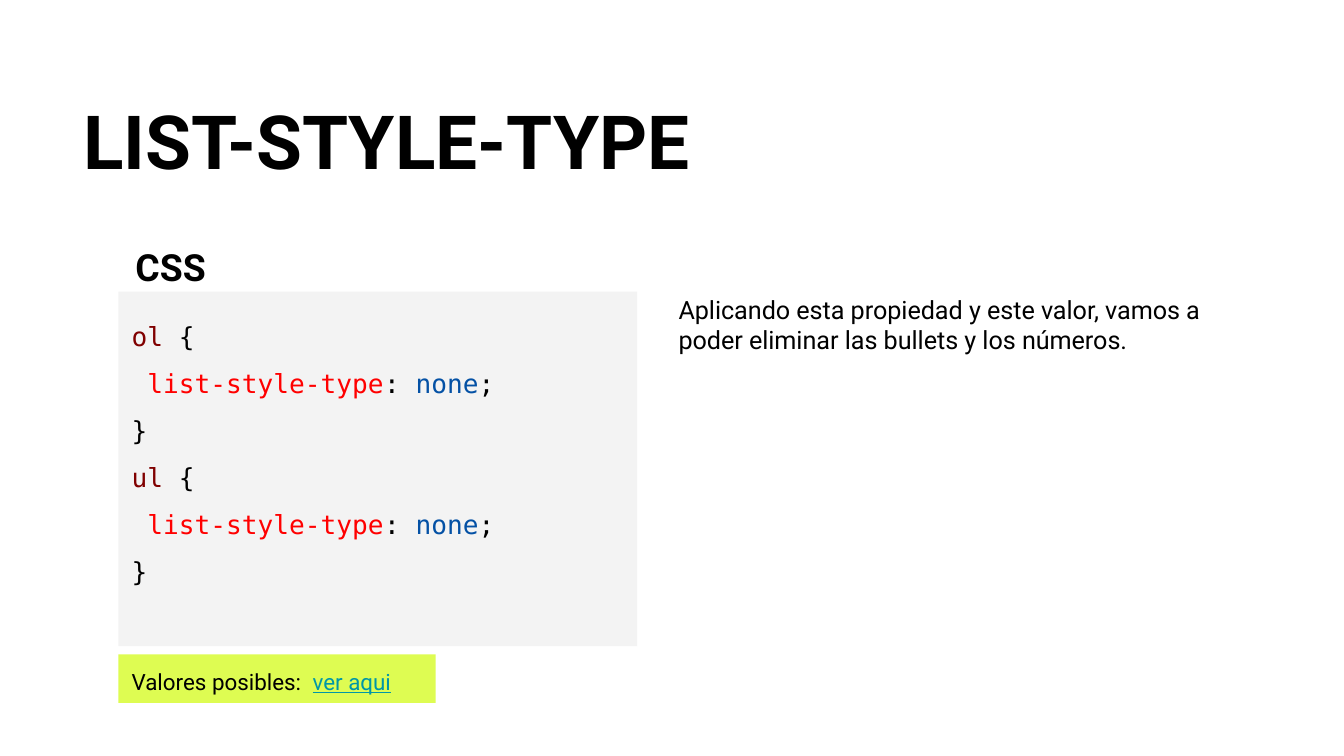
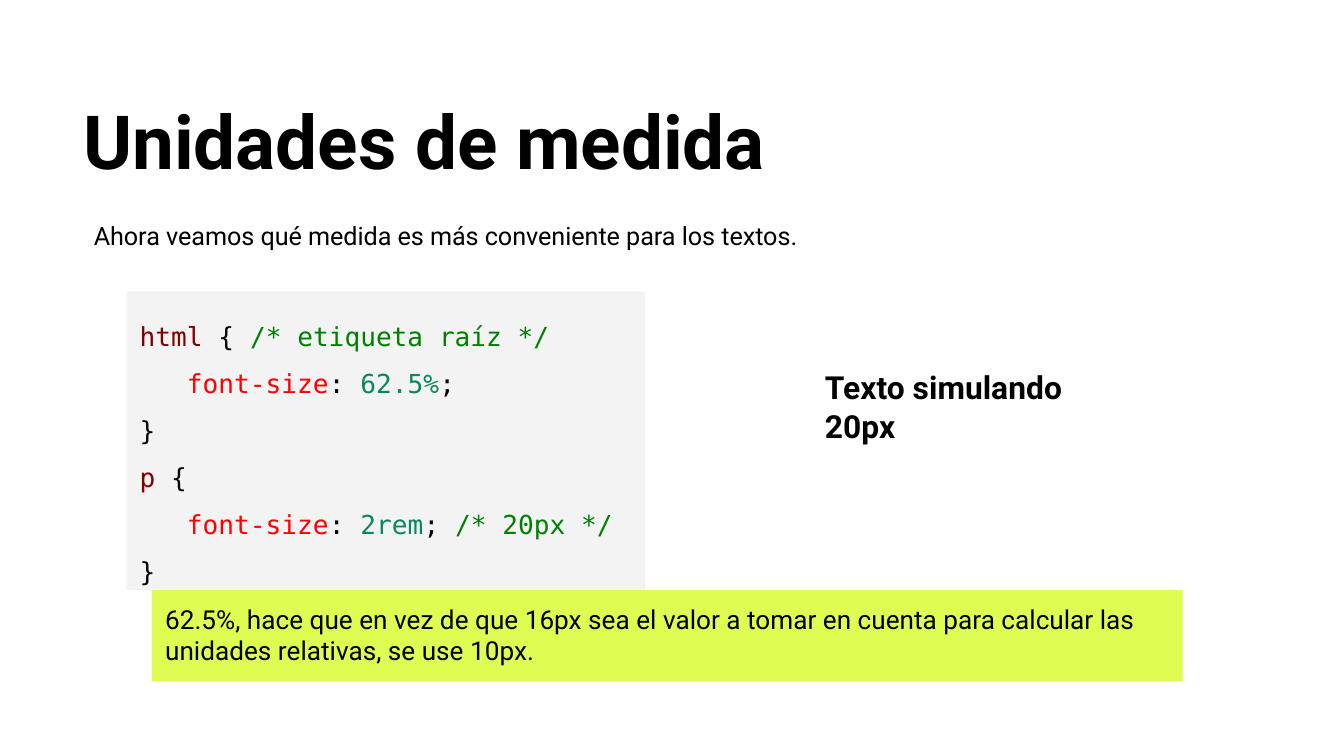
from lxml import etree
from pptx import Presentation
from pptx.dml.color import RGBColor
from pptx.enum import shapes, text
from pptx.oxml.ns import qn
from pptx.util import Pt

BODY, MONO = "Roboto", "DejaVu Sans Mono"
BLACK, GREY, LIME, LINK = "000000", "F3F3F3", "DEFC52", "0097A7"
SELECTOR, PROPERTY, KEYWORD = "800000", "FF0000", "0451A5"
NUMBER, COMMENT = "09885A", "008000"
INSET = 7.2
CODE_TOP, CODE_WIDTH = 156.2, 278


def rgb(value):
    return RGBColor.from_string(value)


def css_rule(selector, prop, value, color, indent, head_note="", value_note=""):
    """Return the three lines of a CSS rule as lists of (text, colour)."""
    head = [(selector, SELECTOR), (" { " if head_note else " {", BLACK)]
    if head_note:
        head.append((head_note, COMMENT))
    body = [(" " * indent, BLACK), (prop, PROPERTY), (": ", BLACK),
            (value, color), ("; " if value_note else ";", BLACK)]
    if value_note:
        body.append((value_note, COMMENT))
    return [head, body, [("}", BLACK)]]


class Deck:
    def __init__(self):
        self.prs = Presentation()
        self.prs.slide_width, self.prs.slide_height = Pt(720), Pt(405)
        self.slide = None

    def set_text(self, sp, lines, size, font=BODY, bold=False, spacing=1.0, tab=None):
        """Fill a shape with lines, each a string or a list of (text, colour)."""
        tf = sp.text_frame
        frame = dict(word_wrap=True, auto_size=text.MSO_AUTO_SIZE.NONE,
                     vertical_anchor=text.MSO_ANCHOR.TOP)
        frame.update({f"margin_{side}": Pt(INSET)
                      for side in ("left", "top", "right", "bottom")})
        for name, value in frame.items():
            setattr(tf, name, value)
        for i, line in enumerate(lines):
            p = tf.paragraphs[0] if i == 0 else tf.add_paragraph()
            p.alignment, p.line_spacing = text.PP_ALIGN.LEFT, spacing
            if tab:
                tabs = etree.SubElement(p._p.get_or_add_pPr(), qn("a:tabLst"))
                etree.SubElement(tabs, qn("a:tab"), pos=str(Pt(tab)), algn="l")
            for content, color in [(line, BLACK)] if isinstance(line, str) else line:
                r = p.add_run()
                r.text = content
                style = dict(name=font, size=Pt(size), bold=bold, underline=color == LINK)
                for name, value in style.items():
                    setattr(r.font, name, value)
                r.font.color.rgb = rgb(color)

    def start(self, title):
        """Add a slide with its title."""
        self.slide = self.prs.slides.add_slide(self.prs.slide_layouts[5])
        sp = self.slide.shapes.title
        sp.left, sp.top, sp.width, sp.height = map(Pt, (37.4, 49, 640.8, 58.3))
        self.set_text(sp, [title], 40, bold=True, spacing=0.9)

    def label(self, box, lines, size, **style):
        sp = self.slide.shapes.add_textbox(*map(Pt, box))
        self.set_text(sp, lines, size, **style)

    def panel(self, box, fill, lines, size, **style):
        sp = self.slide.shapes.add_shape(shapes.MSO_SHAPE.RECTANGLE, *map(Pt, box))
        sp.shadow.inherit = False
        sp.fill.solid()
        sp.fill.fore_color.rgb = rgb(fill)
        sp.line.fill.background()
        self.set_text(sp, lines, size, **style)

    def code(self, left, height, lines):
        self.panel((left, CODE_TOP, CODE_WIDTH, height), GREY, lines, 14,
                   font=MONO, spacing=1.5)


def list_style_slide(deck):
    deck.start("LIST-STYLE-TYPE")
    deck.label((356.4, 150.5, 301.7, 47.5),
               ["Aplicando esta propiedad y este valor, vamos a poder eliminar "
                "las bullets y los números."], 13.5)
    deck.code(63.4, 190, [line for selector in ("ol", "ul") for line in
                          css_rule(selector, "list-style-type", "none", KEYWORD, 1)])
    deck.label((65.5, 123.8, 89.3, 35.3), ["CSS"], 20, bold=True)
    deck.panel((63.4, 350.6, 170, 26), LIME,
               [[("Valores posibles:\t", BLACK), ("ver aqui", LINK)]], 12, tab=97)


def units_slide(deck):
    deck.start("Unidades de medida")
    deck.label((43.2, 103, 607, 38),
               ["Ahora veamos qué medida es más conveniente para los textos."],
               13.5, spacing=1.5)
    deck.code(67.7, 159.8,
              css_rule("html", "font-size", "62.5%", NUMBER, 3,
                       head_note="/* etiqueta raíz */")
              + css_rule("p", "font-size", "2rem", NUMBER, 3,
                         value_note="/* 20px */"))
    deck.label((434.9, 190.1, 149, 55.4), ["Texto simulando", "20px"], 17, bold=True)
    deck.panel((81.4, 316.1, 552.2, 49), LIME,
               ["62.5%, hace que en vez de que 16px sea el valor a tomar en cuenta "
                "para calcular las unidades relativas, se use 10px."], 14)


def main():
    deck = Deck()
    list_style_slide(deck)
    units_slide(deck)
    deck.prs.save("out.pptx")


if __name__ == "__main__":
    main()
